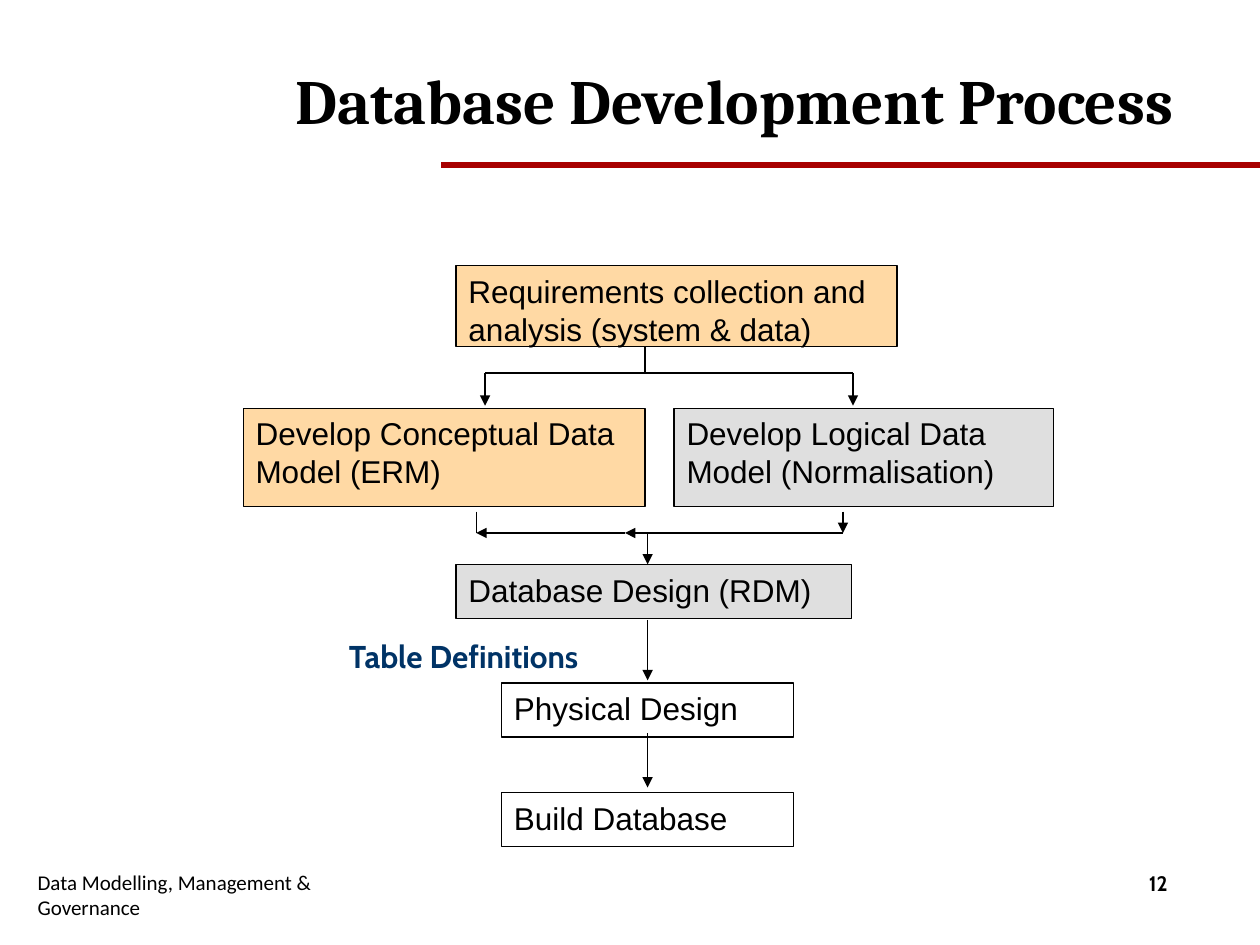
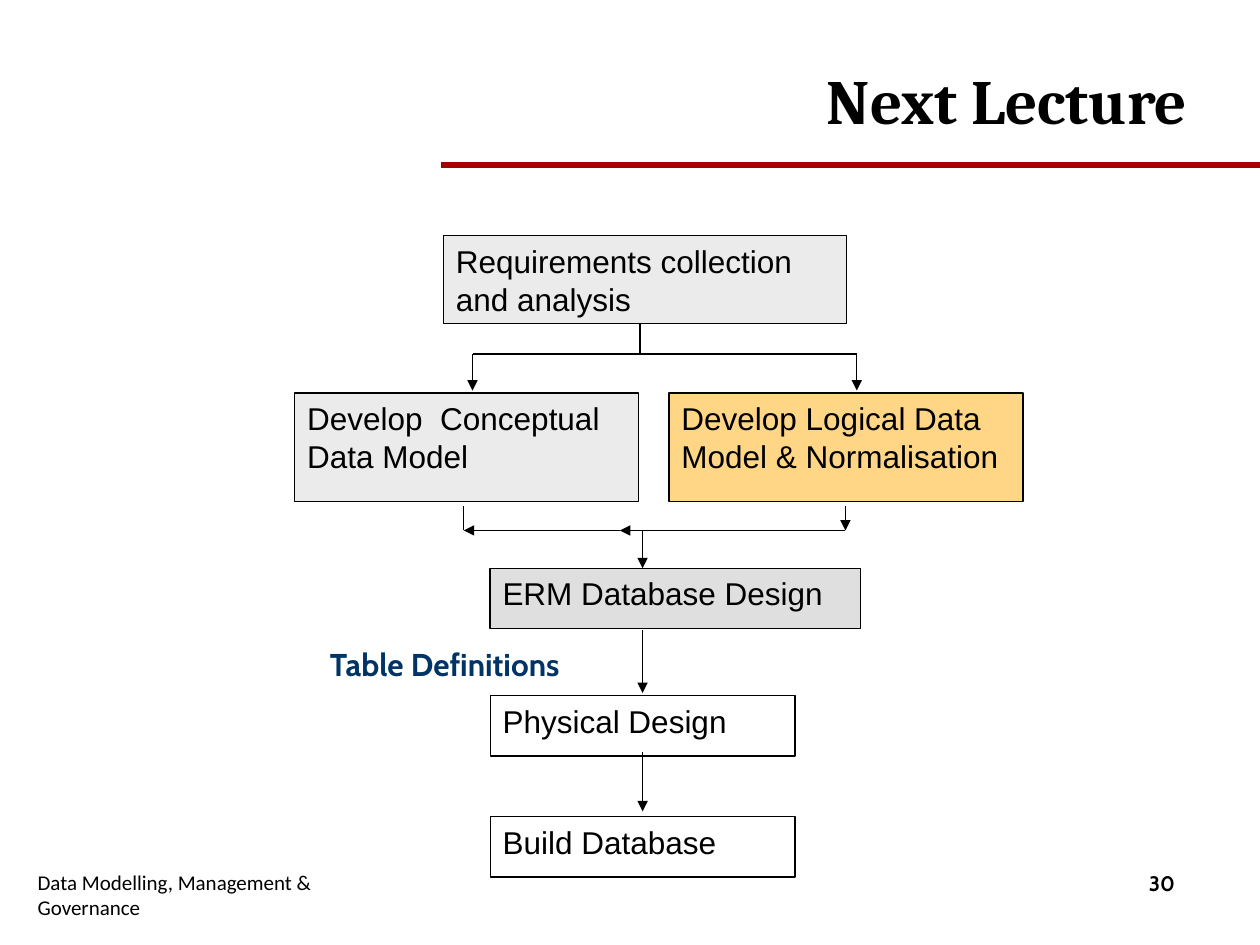
from pptx import Presentation
from pptx.dml.color import RGBColor
from pptx.enum.shapes import MSO_CONNECTOR, MSO_SHAPE
from pptx.enum.text import MSO_ANCHOR as ANCHOR, PP_ALIGN as ALIGN
from pptx.oxml.ns import qn
from pptx.util import Inches, Pt
from lxml.etree import SubElement

COLORS = {"black": "000000", "rule": "A80000", "navy": "003366", "orange": "FFB54A",
          "amber": "FFAE0D", "silver": "C0C0C0", "light": "D9D9D9", "white": "FFFFFF"}
FOOTER = "Data Modelling, Management & Governance"

PROCESS = {
    "steps": [
        ("Requirements collection and analysis (system & data)", "orange", (1.69, 0, 3.5, 0.64)),
        ("Develop Conceptual Data Model (ERM)", "orange", (0, 1.13, 3.19, 0.78)),
        ("Develop Logical Data Model (Normalisation)", "silver", (3.42, 1.13, 3.01, 0.78)),
        ("Database Design (RDM)", "silver", (1.69, 2.37, 3.14, 0.43)),
        ("Physical Design", "white", (2.05, 3.31, 2.32, 0.43)),
        ("Build Database", "white", (2.05, 4.18, 2.32, 0.43)),
    ],
    "label": (0.74, 2.9, 2.23, 0.37),
    "spine": 3.21,
    "split": (0.85, 1.92, 4.84),
    "merge": (2.12, 1.85, 4.76),
}
NEXT = {
    "steps": [
        ("Requirements collection and analysis", "light", (1.18, 0, 3.2, 0.7)),
        ("Develop  Conceptual Data Model", "light", (0, 1.25, 2.73, 0.86)),
        ("Develop Logical Data Model & Normalisation", "amber", (2.97, 1.25, 2.81, 0.86)),
        ("ERM Database Design", "silver", (1.55, 2.64, 2.94, 0.48)),
        ("Physical Design", "white", (1.55, 3.65, 2.42, 0.48)),
        ("Build Database", "white", (1.55, 4.61, 2.42, 0.48)),
    ],
    "label": (0.18, 3.2, 2.32, 0.4),
    "spine": 2.76,
    "split": (0.94, 1.41, 4.46),
    "merge": (2.34, 1.34, 4.37),
}


def rgb(name):
    """Return the named colour."""
    return RGBColor.from_string(COLORS[name])


def write(sp, text, size=18, font="Arial", color="black", bold=False,
          align=ALIGN.LEFT, anchor=ANCHOR.TOP):
    """Put formatted text into a shape."""
    tf = sp.text_frame
    tf.word_wrap = True
    tf.vertical_anchor = anchor
    p = tf.paragraphs[0]
    p.alignment = align
    r = p.add_run()
    r.text = text
    r.font.size = Pt(size)
    r.font.name = font
    r.font.bold = bold
    r.font.color.rgb = rgb(color)


def add_text(slide, box, text, **fmt):
    """Add a text box."""
    write(slide.shapes.add_textbox(*map(Inches, box)), text, **fmt)


def add_line(slide, start, end, color="black", width=0.75, arrow=None):
    """Add a straight line with an optional headEnd or tailEnd arrow."""
    sp = slide.shapes.add_connector(MSO_CONNECTOR.STRAIGHT, *map(Inches, (*start, *end)))
    sp.line.color.rgb = rgb(color)
    sp.line.width = Pt(width)
    if arrow:
        SubElement(sp.line._get_or_add_ln(), qn(f"a:{arrow}"), type="triangle")
    SubElement(sp._element.spPr, qn("a:effectLst"))


def add_step(slide, box, text, color):
    """Add a half-transparent outlined step."""
    sp = slide.shapes.add_shape(MSO_SHAPE.RECTANGLE, *map(Inches, box))
    sp.shadow.inherit = False
    sp.fill.solid()
    sp.fill.fore_color.rgb = rgb(color)
    fill = sp._element.spPr.find(qn("a:solidFill"))
    SubElement(fill[0], qn("a:alpha"), val="50000")
    sp.line.color.rgb = rgb("black")
    sp.line.width = Pt(0.75)
    write(sp, text)


def add_frame(slide, title, number):
    """Add the title, rule, footer and slide number."""
    add_line(slide, (3.5, 1.31), (10, 1.31), color="rule", width=3)
    add_text(slide, (1.85, 0.41, 7.67, 0.75), title, size=36, font="Cambria", bold=True,
             align=ALIGN.RIGHT, anchor=ANCHOR.MIDDLE)
    add_text(slide, (0.2, 6.9, 2.99, 0.4), FOOTER, size=12, font="Calibri",
             anchor=ANCHOR.MIDDLE)
    add_text(slide, (9.02, 6.86, 0.5, 0.3), str(number), size=12, font="Cabin", bold=True)


def add_flow(slide, left, top, flow):
    """Add the development flow with its top left corner at the given point."""
    def place(box):
        """Shift a box to the corner of the flow."""
        x, y, *size = box
        return (left + x, top + y, *size)

    def link(x1, y1, x2, y2, arrow=None):
        """Draw a line between two points of the flow."""
        add_line(slide, (left + x1, top + y1), (left + x2, top + y2), arrow=arrow)

    add_text(slide, place(flow["label"]), "Table Definitions", font="Cabin",
             color="navy", bold=True)
    for text, color, box in flow["steps"]:
        add_step(slide, place(box), text, color)

    tops = [box[1] for _, _, box in flow["steps"]]
    bottoms = [box[1] + box[3] for _, _, box in flow["steps"]]
    spine = flow["spine"]
    mid = spine - 0.18

    y, *ends = flow["split"]
    link(spine - 0.02, bottoms[0], spine - 0.02, y)
    for x in ends:
        link(mid, y, x, y)
        link(x, y, x, tops[1] - 0.02, "tailEnd")

    y, *ends = flow["merge"]
    for x, across, down in zip(ends, ("tailEnd", "headEnd"), (None, "tailEnd")):
        link(mid, y, x, y, across)
        link(x, bottoms[1] + 0.04, x, y, down)

    link(spine, y, spine, tops[3], "tailEnd")
    link(spine, bottoms[3] + 0.01, spine, tops[4] - 0.02, "tailEnd")
    link(spine, bottoms[4] - 0.03, spine, tops[5] - 0.04, "tailEnd")


def main():
    """Build the deck."""
    prs = Presentation()
    prs.slide_width, prs.slide_height = Inches(10), Inches(7.5)
    for title, number, corner, flow in [
        ("Database Development Process ", 12, (1.93, 2.11), PROCESS),
        ("Next Lecture", 30, (2.34, 1.87), NEXT),
    ]:
        slide = prs.slides.add_slide(prs.slide_layouts[6])
        add_frame(slide, title, number)
        add_flow(slide, *corner, flow)
    prs.save("out.pptx")


if __name__ == "__main__":
    main()
